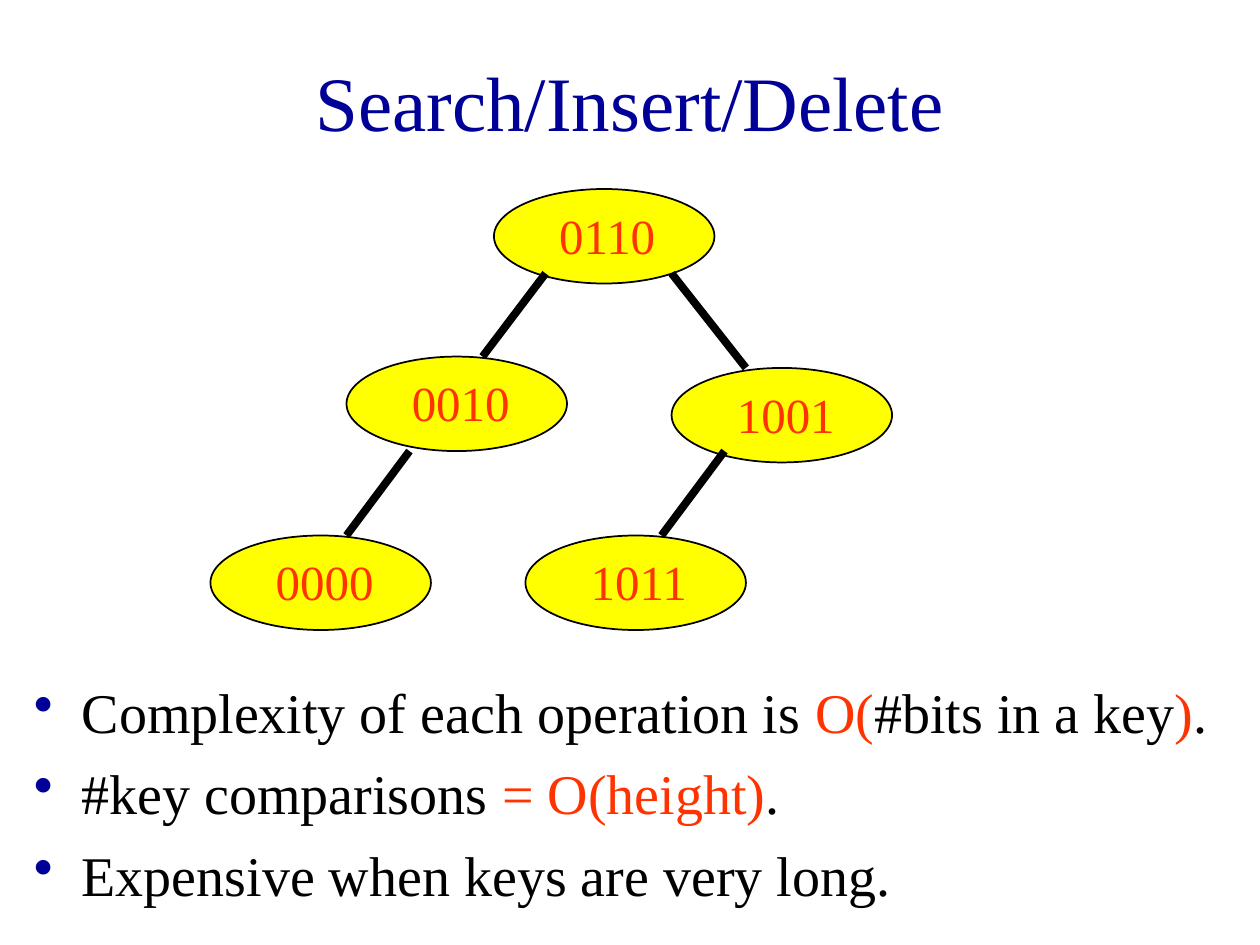
import pptx
import pptx.util
import pptx.dml.color
import pptx.enum.shapes
import pptx.enum.text
import pptx.oxml
import pptx.oxml.ns

Inches = pptx.util.Inches
Pt = pptx.util.Pt
RGB = pptx.dml.color.RGBColor
NAVY = RGB(0x00, 0x00, 0x99)
RED = RGB(0xFF, 0x33, 0x00)
BLACK = RGB(0x00, 0x00, 0x00)
YELLOW = RGB(0xFF, 0xFF, 0x00)
FACE = "Times New Roman"

NODES = [
    ("1001", 3.66, 1.42),
    ("0110", 2.25, 0),
    ("0010", 1.08, 1.33),
    ("1011", 2.5, 2.75),
    ("0000", 0, 2.75),
]
EDGES = [
    (2.66, 0.67, 2.16, 1.33),
    (3.66, 0.67, 4.25, 1.42),
    (4.08, 2.08, 3.58, 2.75),
    (1.58, 2.08, 1.08, 2.75),
]
POINTS = [
    [("Complexity of each operation is ", BLACK), ("O(", RED),
     ("#bits in a key", BLACK), (")", RED), (".", BLACK)],
    [("#key comparisons ", BLACK), ("= O(height)", RED), (".", BLACK)],
    [("Expensive when keys are very long.", BLACK)],
]


def style(font, size, color):
    """Set the face, size and colour of a font."""
    font.name = FACE
    font.size = Pt(size)
    font.color.rgb = color


def add_text(slide, left, top, width, height):
    """Add a wrapping text box and return its frame."""
    box = slide.shapes.add_textbox(
        Inches(left), Inches(top), Inches(width), Inches(height))
    box.text_frame.word_wrap = True
    return box.text_frame


def add_title(slide, left, top, width, height):
    """Place the centred title in its box."""
    frame = add_text(slide, left, top, width, height)
    frame.vertical_anchor = pptx.enum.text.MSO_ANCHOR.MIDDLE
    frame.text = "Search/Insert/Delete"
    para = frame.paragraphs[0]
    para.alignment = pptx.enum.text.PP_ALIGN.CENTER
    style(para.runs[0].font, 44, NAVY)


def add_node(slide, left, top, key):
    """Draw one oval tree node with its key."""
    oval = slide.shapes.add_shape(
        pptx.enum.shapes.MSO_SHAPE.OVAL,
        Inches(left), Inches(top), Inches(1.75), Inches(0.75))
    oval.shadow.inherit = False
    oval.fill.solid()
    oval.fill.fore_color.rgb = YELLOW
    oval.line.color.rgb = BLACK
    oval.line.width = Pt(1)
    frame = add_text(slide, left + 0.42, top + 0.08, 1.17, 0.57)
    frame.text = key
    style(frame.paragraphs[0].runs[0].font, 28, RED)


def add_edge(slide, x1, y1, x2, y2):
    """Draw one thick branch between two nodes."""
    edge = slide.shapes.add_connector(
        pptx.enum.shapes.MSO_CONNECTOR.STRAIGHT,
        Inches(x1), Inches(y1), Inches(x2), Inches(y2))
    edge.line.color.rgb = BLACK
    edge.line.width = Pt(4.5)
    props = edge._element.spPr
    props.append(pptx.oxml.parse_xml(
        f"<a:effectLst {pptx.oxml.ns.nsdecls('a')}/>"))


def add_tree(slide, left, top):
    """Place the nodes and branches from the tree's top left corner."""
    for key, x, y in NODES:
        add_node(slide, left + x, top + y, key)
    for x1, y1, x2, y2 in EDGES:
        add_edge(slide, left + x1, top + y1, left + x2, top + y2)


def add_bullet(para):
    """Give a paragraph a hanging navy bullet."""
    props = para._p.get_or_add_pPr()
    props.set("marL", str(Inches(0.38)))
    props.set("indent", str(-Inches(0.38)))
    space = pptx.oxml.ns.nsdecls("a")
    props.append(pptx.oxml.parse_xml(
        f'<a:buClr {space}><a:srgbClr val="{NAVY}"/></a:buClr>'))
    props.append(pptx.oxml.parse_xml(f'<a:buChar {space} char="•"/>'))


def add_points(slide, left, top, width, height):
    """Place the bulleted points in their box."""
    frame = add_text(slide, left, top, width, height)
    for rank, parts in enumerate(POINTS):
        para = frame.add_paragraph() if rank else frame.paragraphs[0]
        add_bullet(para)
        if rank:
            para.space_before = Pt(8)
        for text, color in parts:
            run = para.add_run()
            run.text = text
            style(run.font, 32, color)


def main():
    """Build the slide and save it."""
    deck = pptx.Presentation()
    deck.slide_width = Inches(10)
    deck.slide_height = Inches(7.5)
    slide = deck.slides.add_slide(deck.slide_layouts[6])
    add_title(slide, 0.75, 0.17, 8.5, 1.25)
    add_points(slide, 0.17, 5.33, 9.75, 1.83)
    add_tree(slide, 1.67, 1.5)
    deck.save("out.pptx")


if __name__ == "__main__":
    main()
